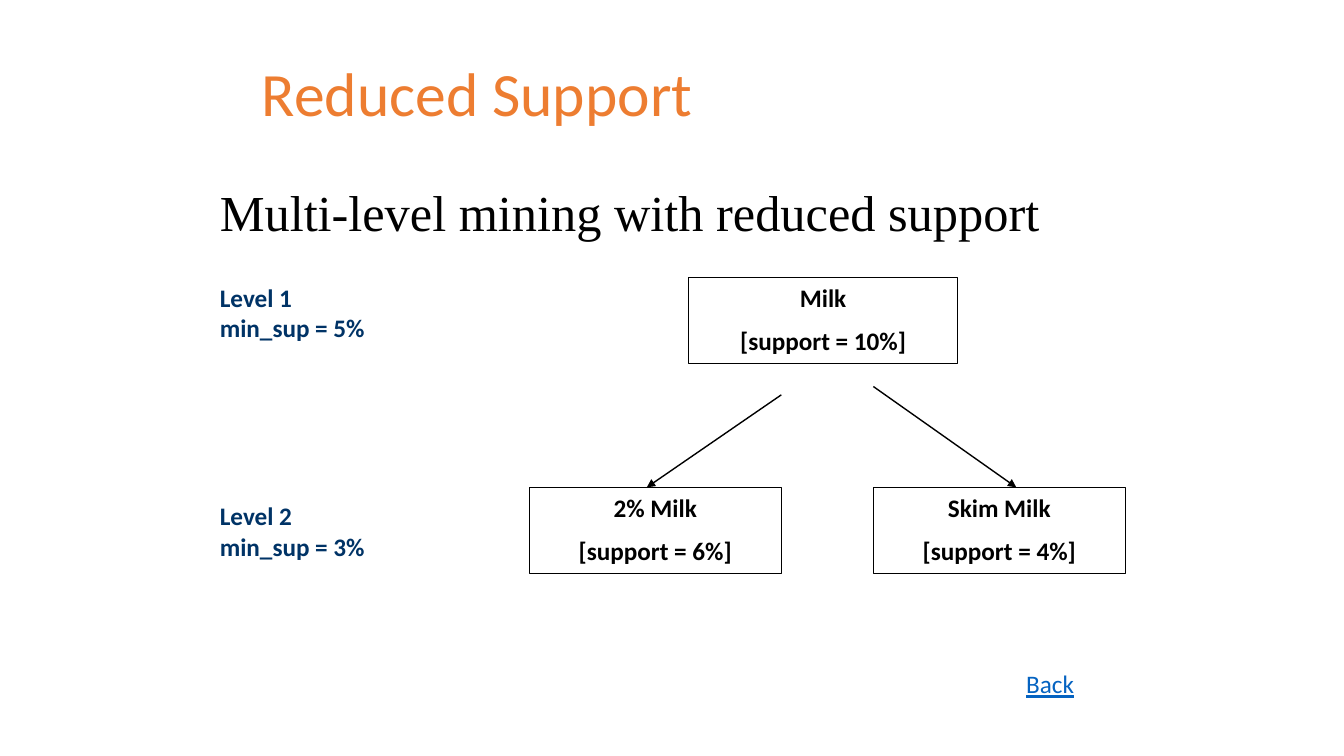
"""Build the slide on multi-level mining with reduced support."""
import pptx
import pptx.util
import pptx.dml.color
import pptx.enum.shapes
import pptx.enum.text
import pptx.oxml.ns
from lxml import etree
from pptx.util import Cm, Pt

COLOURS = {"title": "ED7D31", "text": "000000", "level": "003366",
           "back": "0563C1", "box": "FFFFFF"}
BOX_HEIGHT = 2.18
CHILD_TOP = 12.28


def colour(name):
    return pptx.dml.color.RGBColor.from_string(COLOURS[name])


def write_lines(shape, lines, size, colour_name, font="Calibri", bold=False,
                align=pptx.enum.text.PP_ALIGN.LEFT, gap=0):
    frame = shape.text_frame
    frame.text = "\n".join(lines)
    for index, paragraph in enumerate(frame.paragraphs):
        paragraph.alignment = align
        if index and gap:
            paragraph.space_before = Pt(gap)
        paragraph.font.name = font
        paragraph.font.size = Pt(size)
        paragraph.font.bold = bold
        paragraph.font.color.rgb = colour(colour_name)
    return frame


def add_text(slide, left, top, width, height, lines, size, colour_name,
             wrap=False, **style):
    shape = slide.shapes.add_textbox(Cm(left), Cm(top), Cm(width), Cm(height))
    frame = write_lines(shape, lines, size, colour_name, **style)
    frame.word_wrap = wrap
    return frame


def add_item_box(slide, left, top, width, name, support):
    shape = slide.shapes.add_shape(pptx.enum.shapes.MSO_SHAPE.RECTANGLE,
                                   Cm(left), Cm(top), Cm(width), Cm(BOX_HEIGHT))
    shape.shadow.inherit = False
    shape.fill.solid()
    shape.fill.fore_color.rgb = colour("box")
    shape.line.color.rgb = colour("text")
    shape.line.width = Pt(0.75)
    frame = write_lines(shape, [name, f"[support = {support}%]"], 18, "text",
                        bold=True, align=pptx.enum.text.PP_ALIGN.CENTER, gap=9)
    frame.vertical_anchor = pptx.enum.text.MSO_ANCHOR.TOP


def add_arrow(slide, start_x, start_y, end_x, end_y):
    arrow = slide.shapes.add_connector(
        pptx.enum.shapes.MSO_CONNECTOR.STRAIGHT,
        Cm(start_x), Cm(start_y), Cm(end_x), Cm(end_y))
    arrow.line.color.rgb = colour("text")
    arrow.line.width = Pt(1)
    qn = pptx.oxml.ns.qn
    etree.SubElement(arrow.line._get_or_add_ln(), qn("a:tailEnd"), type="triangle")
    etree.SubElement(arrow._element.spPr, qn("a:effectLst"))


def main():
    presentation = pptx.Presentation()
    presentation.slide_width = Cm(33.87)
    presentation.slide_height = Cm(19.05)
    slide = presentation.slides.add_slide(presentation.slide_layouts[6])

    title = add_text(slide, 6.35, 0.85, 21.59, 3.18, ["Reduced Support"],
                     44, "title", wrap=True)
    title.vertical_anchor = pptx.enum.text.MSO_ANCHOR.MIDDLE
    title.paragraphs[0].line_spacing = 0.9
    add_text(slide, 5.29, 4.45, 23.28, 2.75,
             ["Multi-level mining with reduced support"], 36, "text",
             wrap=True, font="Times New Roman")

    for level, top, minimum in ((1, 6.99, 5), (2, 12.49, 3)):
        add_text(slide, 5.29, top, 4.19, 1.8,
                 [f"Level {level}", f"min_sup = {minimum}%"], 18, "level", bold=True)

    add_item_box(slide, 17.36, 6.99, 6.77, "Milk", 10)
    add_item_box(slide, 13.34, CHILD_TOP, 6.35, "2% Milk", 6)
    add_item_box(slide, 22.01, CHILD_TOP, 6.35, "Skim Milk", 4)
    add_arrow(slide, 19.69, 9.95, 16.3, CHILD_TOP)
    add_arrow(slide, 22.01, 9.74, 25.61, CHILD_TOP)

    back = add_text(slide, 25.61, 16.72, 1.73, 1.02, ["Back"], 18, "back")
    back.paragraphs[0].font.underline = True

    presentation.save("out.pptx")


if __name__ == "__main__":
    main()
